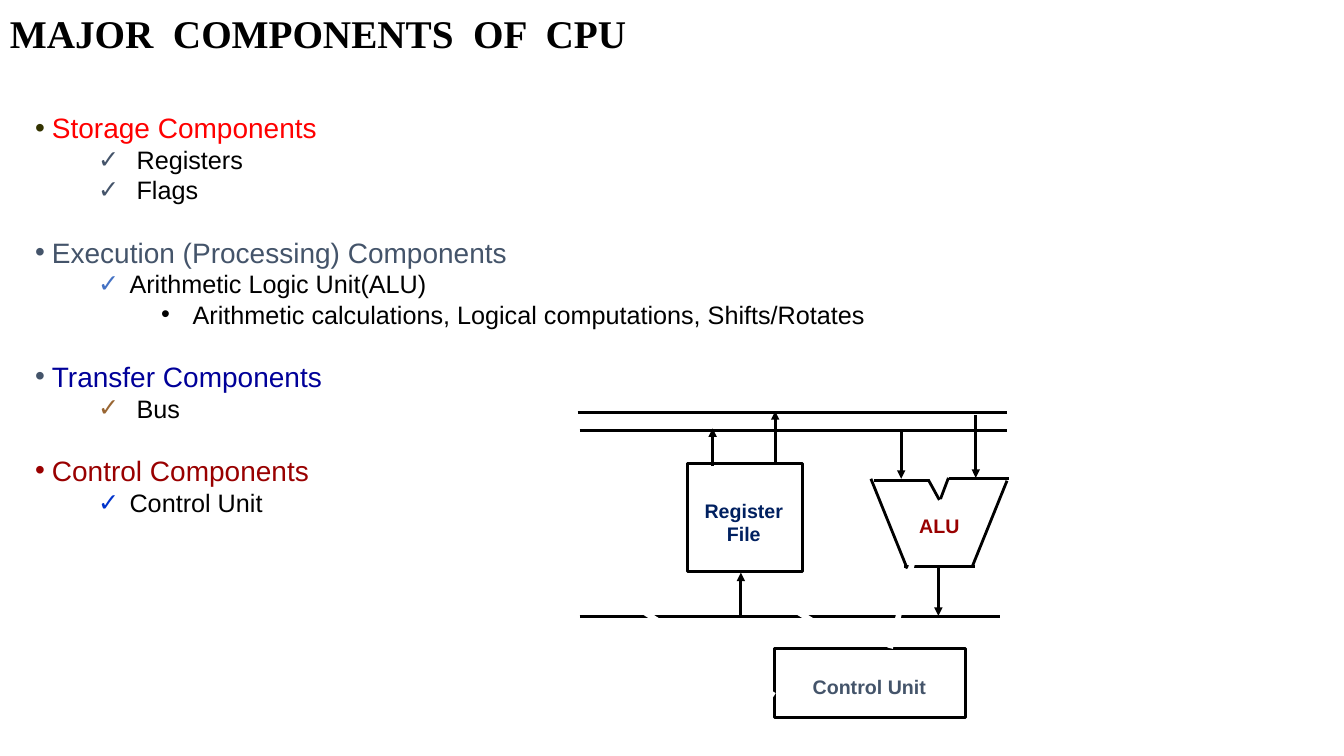
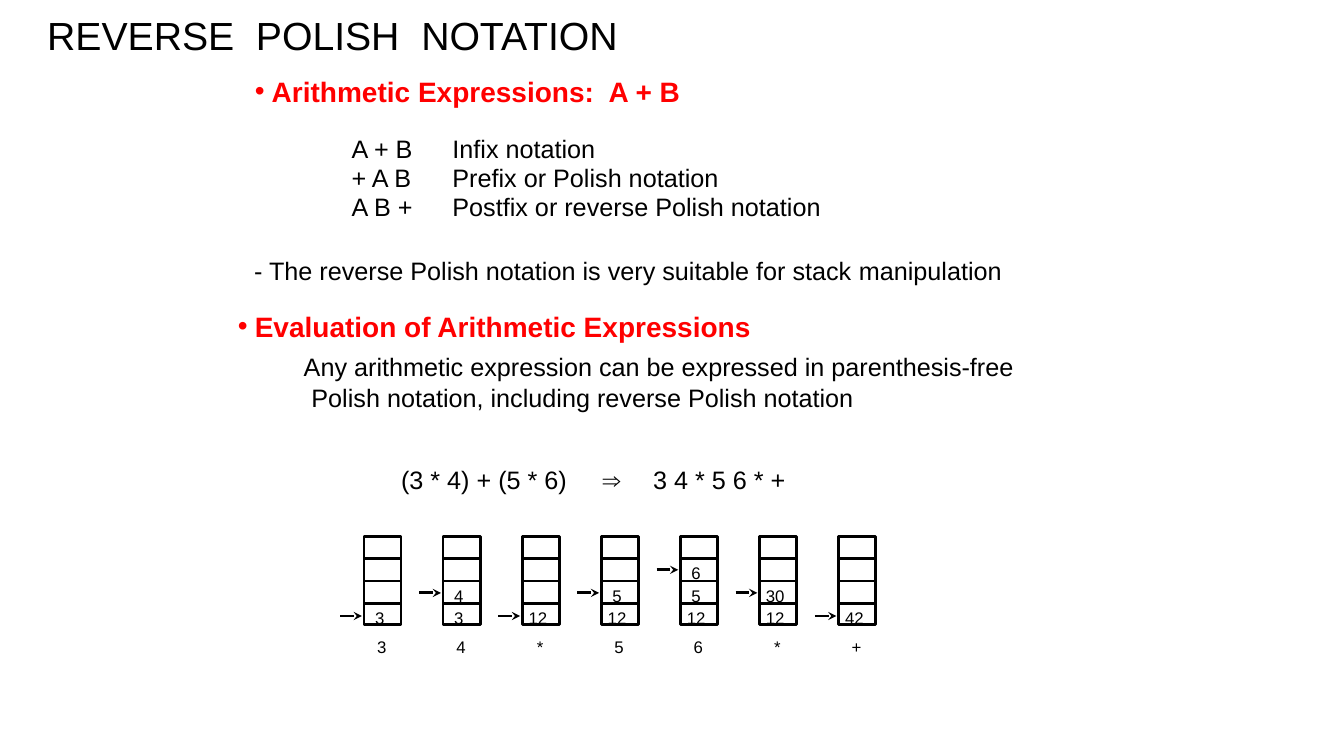
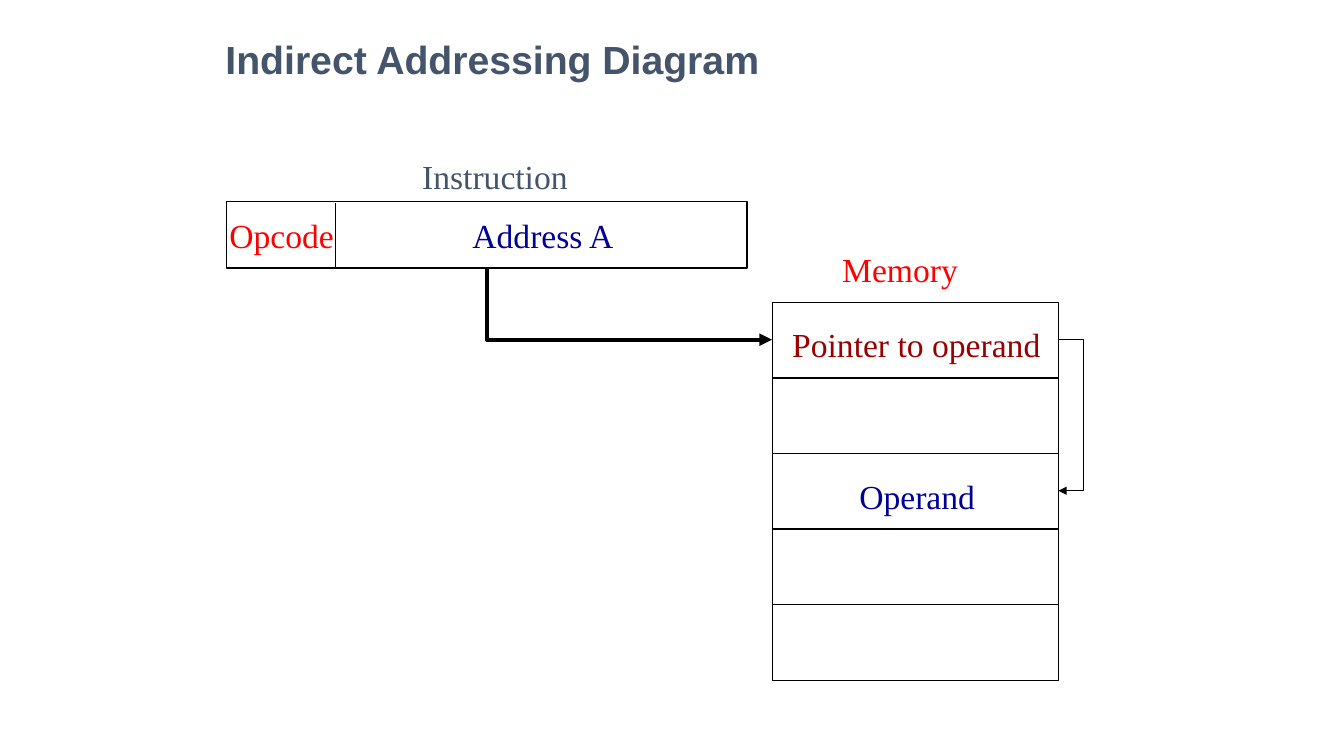
from lxml import etree
from pptx import Presentation
from pptx.dml.color import RGBColor
from pptx.enum import shapes, text
from pptx.oxml.ns import qn
from pptx.util import Pt

INK = {
    "black": "000000", "white": "FFFFFF", "red": "FF0000", "slate": "44546A",
    "navy": "000099", "deep": "002060", "wine": "990000", "olive": "333300",
    "blue": "4472C4", "brown": "996633", "royal": "0033CC",
}
ARIAL, TIMES = "Arial", "Times New Roman"
WIDE, SLIM, FLAT = (7.2, 3.6), (5, 2.2), (0, 3.6)
MID, LOW = text.MSO_ANCHOR.MIDDLE, text.MSO_ANCHOR.BOTTOM

TITLES = [
    ("MAJOR  COMPONENTS  OF  CPU", (0, 0, 582, 51), TIMES, "black", True, MID, 0.9),
    ("REVERSE  POLISH  NOTATION", (26.6, 5.8, 580, 41), ARIAL, "black", False, MID, 0.9),
    ("Indirect Addressing Diagram", (154, 20.9, 648, 41.8), ARIAL, "slate", True, LOW, 1),
]

PARTS = [
    ("Storage Components", "red", "olive", [
        ("✓", "Registers", "slate", 72.5, 27.5),
        ("✓", "Flags", "slate", 72.5, 27.5)]),
    ("Execution (Processing) Components", "slate", "slate", [
        ("✓", "Arithmetic Logic Unit(ALU)", "blue", 67.5, 22.5),
        ("•", "Arithmetic calculations, Logical computations, Shifts/Rotates",
         "black", 112.5, 22.5)]),
    ("Transfer Components", "navy", "slate", [
        ("✓", "Bus", "brown", 72.5, 27.5)]),
    ("Control Components", "wine", "wine", [
        ("✓", "Control Unit", "royal", 67.5, 22.5)]),
]
BLOCKS = [(491, 331.2, 82.1, 77), (553, 463, 136.8, 49.7)]
TAGS = [
    (["Register", "File"], (496, 352.8, 70.6, 41), "deep"),
    (["ALU"], (649.4, 363.6, 43.2, 23.8), "wine"),
    (["Control Unit"], (573.1, 478.8, 95.8, 23.8), "slate"),
]
ALU = [
    (624.2, 343.4, 663.8, 343.4), (663.1, 342.7, 671, 357.1),
    (671.8, 356.4, 677.5, 341.3), (678.2, 342, 720.7, 342),
    (719.3, 343.4, 694.8, 403.9), (696.2, 404.6, 645.8, 404.6),
    (648, 406.1, 622.1, 342),
]
FLOWS = [
    (697, 296.6, 697, 341.3), (643.7, 307.4, 643.7, 342),
    (670.3, 404.6, 670.3, 439.9), (529.2, 440.6, 529.2, 409),
    (553.7, 331.2, 553.7, 293.8),
]
CUTS = [(553, 496.8, 424.1, 414), (434.9, 319, 425.5, 416.9)]
CUES = [
    (596.9, 453.6, 537.8, 417.6), (635.8, 463, 655.9, 385.9),
    (432.7, 319.7, 505.4, 321.8), (435.6, 319.7, 547.9, 302.4),
]
BUS = [(414, 440.6, 714.2, 440.6)]
LOAD = [(509, 332.6, 509, 306)]
RAILS = [(414, 307.4, 719.3, 307.4), (412.6, 294.5, 719.3, 294.5)]
WIRES = [
    (ALU, "black", 2, None), (BUS, "black", 2, None),
    (FLOWS, "black", 2, "triangle"), (CUES, "white", 4, "triangle"),
    (CUTS, "white", 4, None), (LOAD, "black", 2, "triangle"),
    (RAILS, "black", 2, None),
]

HEADS = [
    ("Arithmetic Expressions:  A + B", (175, 49.7, 340, 31), WIDE, 1),
    ("Evaluation of Arithmetic Expressions", (165, 222.5, 400, 24.5), SLIM, 0.85),
]
NOTES = [
    ([("A + B\tInfix notation", 0), ("+ A B\tPrefix or Polish notation", 0),
      ("A B +\tPostfix or reverse Polish notation", 0)],
     (246.2, 93.6, 545.8, 66.2), [54], 0.96),
    ([("- The reverse Polish notation is very suitable for stack\tmanipulation", 0)],
     (176.5, 181.4, 638, 24.5), [442], 0.94),
    ([("Any arithmetic expression can be expressed in parenthesis-free", 0),
      ("Polish notation, including reverse Polish notation", 5.5)],
     (212, 249, 540, 47.5), [], 1),
    ([("(3 * 4) + (5 * 6)\t⇒\t3 4 * 5 6 * +", 0)],
     (281.5, 330.5, 310, 24.5), [138, 181.5], 0.96),
]
STACKS = [
    ("3", ["3"]), ("4", ["3", "4"]), ("*", ["12"]), ("5", ["12", "5"]),
    ("6", ["12", "5", "6"]), ("*", ["12", "30"]), ("+", ["42"]),
]

LABELS = [
    ("Address A", (329.8, 149.8, 115.9), "navy"),
    ("Opcode", (156.2, 149.8, 90), "red"),
    ("Instruction", (293.8, 108, 119.5), "slate"),
    ("Memory", (594, 174.2, 97.9), "red"),
    ("Operand", (606.2, 336.2, 97.9), "navy"),
    ("Pointer to operand", (558, 227.5, 193), "wine"),
]
ELBOWS = [
    ([(347.8, 191.5), (347.8, 242.6), (551.5, 242.6)], 3),
    ([(756, 242.6), (774, 242.6), (774, 350.6), (756, 350.6)], 1),
]


def tint(name):
    return RGBColor.from_string(INK[name])


def fit(item, form):
    for key, val in form.items():
        setattr(item, key, val)


def sub(node, tag, **form):
    kid = etree.SubElement(node, qn(tag))
    for key, val in form.items():
        kid.set(key, str(val))
    return kid


def para(body, first, words, size=18, font=ARIAL, ink="black", bold=False,
         gap=1, lead=0, left=0, hang=0, mark=None, dot="black", tabs=(), mid=False):
    item = body.paragraphs[0] if first else body.add_paragraph()
    prop = item._p.get_or_add_pPr()
    prop.set("marL", str(Pt(left)))
    prop.set("indent", str(Pt(-hang)))
    if mark:
        sub(sub(prop, "a:buClr"), "a:srgbClr", val=INK[dot])
        sub(prop, "a:buFont", typeface=ARIAL)
        sub(prop, "a:buChar", char=mark)
    if tabs:
        stops = sub(prop, "a:tabLst")
        for stop in tabs:
            sub(stops, "a:tab", pos=Pt(stop), algn="l")
    fit(item, {
        "line_spacing": Pt(round(size * 1.2 * gap, 1)),
        "alignment": text.PP_ALIGN.CENTER if mid else text.PP_ALIGN.LEFT,
    })
    if lead:
        item.space_before = Pt(lead)
    run = item.add_run()
    run.text = words
    fit(run.font, {"size": Pt(size), "name": font, "bold": bold})
    run.font.color.rgb = tint(ink)


def write(page, box, paras, pad=WIDE, anchor=text.MSO_ANCHOR.TOP):
    body = page.shapes.add_textbox(*map(Pt, box)).text_frame
    side, top = map(Pt, pad)
    fit(body, {
        "word_wrap": True, "vertical_anchor": anchor,
        "margin_left": side, "margin_right": side,
        "margin_top": top, "margin_bottom": top,
    })
    for num, form in enumerate(paras):
        para(body, num == 0, **form)


def stroke(item, ink, width, tip=None):
    item.line.color.rgb = tint(ink)
    item.line.width = Pt(width)
    if tip:
        sub(item._element.spPr.find(qn("a:ln")), "a:tailEnd", type=tip)


def wire(page, ends, ink="black", width=2, tip=None):
    item = page.shapes.add_connector(shapes.MSO_CONNECTOR.STRAIGHT, *map(Pt, ends))
    stroke(item, ink, width, tip)
    sub(item._element.spPr, "a:effectLst")


def frame(page, box, width):
    item = page.shapes.add_shape(shapes.MSO_SHAPE.RECTANGLE, *map(Pt, box))
    item.shadow.inherit = False
    item.fill.background()
    stroke(item, "black", width)


def elbow(page, dots, width):
    dots = [(Pt(x), Pt(y)) for x, y in dots]
    pen = page.shapes.build_freeform(*dots[0])
    pen.add_line_segments(dots[1:], close=False)
    item = pen.convert_to_shape()
    item.shadow.inherit = False
    item.fill.background()
    stroke(item, "black", width, "triangle")


def start(deck, num):
    page = deck.slides.add_slide(deck.slide_layouts[6])
    words, box, font, ink, bold, anchor, gap = TITLES[num]
    write(page, box, [dict(words=words, size=28, font=font, ink=ink, bold=bold,
                           gap=gap)], anchor=anchor)
    return page


def parts(page):
    paras = []
    for words, ink, dot, items in PARTS:
        paras.append(dict(words=words, size=20, ink=ink, mark="•", dot=dot,
                          left=12, hang=12, lead=21.6 if paras else 0))
        for mark, words, dot, left, hang in items:
            paras.append(dict(words=words, mark=mark, dot=dot, left=left, hang=hang))
    write(page, (18, 75.6, 812, 300), paras)
    for box in BLOCKS:
        frame(page, box, 2)
    for lines, box, ink in TAGS:
        write(page, box, [dict(words=line, size=14, ink=ink, bold=True, mid=True)
                          for line in lines], FLAT)
    for ends, ink, width, tip in WIRES:
        for end in ends:
            wire(page, end, ink, width, tip)


def stacks(page):
    for words, box, pad, gap in HEADS:
        write(page, box, [dict(words=words, size=20, ink="red", bold=True, gap=gap,
                               mark="•", dot="red", left=12, hang=12)], pad)
    for lines, box, tabs, gap in NOTES:
        write(page, box, [dict(words=words, left=left, tabs=tabs, gap=gap)
                          for words, left in lines], SLIM)
    top, wide, row = 383, 26.5, 16
    for num, (sign, cells) in enumerate(STACKS):
        left = 260 + 56.5 * num
        frame(page, (left, top, wide, 63), 2)
        for step in range(1, 4):
            y = top + row * step
            wire(page, (left, y, left + wide, y))
        spots = [(cell, -2, 430.5 - row * step) for step, cell in enumerate(cells)]
        for words, shift, y in spots + [(sign, -0.5, 451.5)]:
            write(page, (left + shift, y, wide, 21.6),
                  [dict(words=words, size=12, mid=True)], FLAT)
        y = 440 - 16.5 * (len(cells) - 1)
        wire(page, (left - 17, y, left - 1.5, y), tip="stealth")


def memory(page):
    frame(page, (162, 144, 371.5, 47.5), 1)
    wire(page, (239.8, 144.7, 239.8, 191.5), width=1)
    for num in range(5):
        frame(page, (552, 216 + 54 * num, 204, 54), 1)
    for words, box, ink in LABELS:
        write(page, (*box, 36), [dict(words=words, size=24, font=TIMES, ink=ink,
                                      mid=True)], FLAT)
    for dots, width in ELBOWS:
        elbow(page, dots, width)


def main():
    deck = Presentation()
    fit(deck, {"slide_width": Pt(960), "slide_height": Pt(540)})
    for num, draw in enumerate((parts, stacks, memory)):
        draw(start(deck, num))
    deck.save("out.pptx")


if __name__ == "__main__":
    main()
